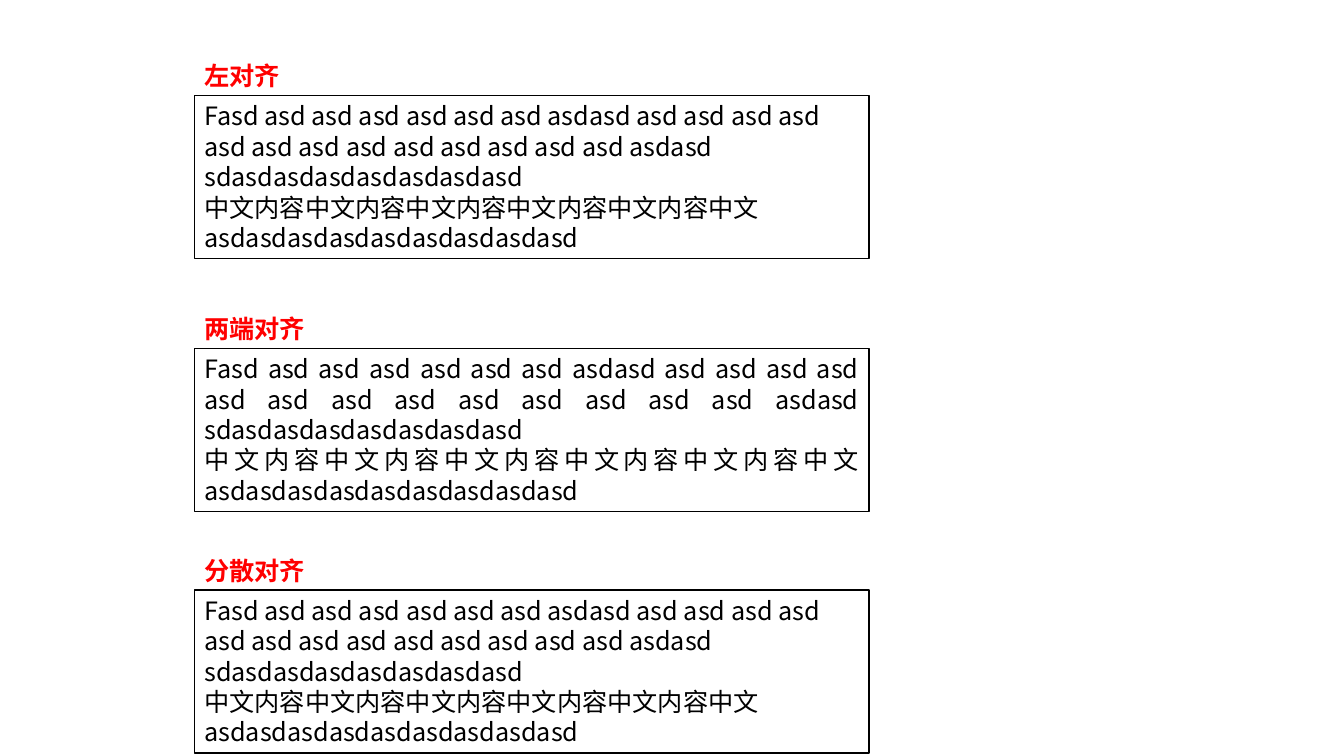
from dataclasses import dataclass

from lxml import etree
from pptx import Presentation
from pptx.dml.color import RGBColor
from pptx.enum.shapes import MSO_SHAPE
from pptx.enum.text import MSO_ANCHOR, MSO_AUTO_SIZE, PP_ALIGN
from pptx.oxml.ns import qn
from pptx.util import Cm, Pt

RECT = MSO_SHAPE.RECTANGLE
TOP = MSO_ANCHOR.TOP
GROW = MSO_AUTO_SIZE.SHAPE_TO_FIT_TEXT
LEFT, JUSTIFY, DISTRIBUTE = PP_ALIGN.LEFT, PP_ALIGN.JUSTIFY, PP_ALIGN.DISTRIBUTE


@dataclass(frozen=True)
class Theme:
    font: str = "Noto Sans CJK SC"
    size: Pt = Pt(18)
    leading: Pt = Pt(21.7)
    border: Pt = Pt(1)
    text: RGBColor = RGBColor(0, 0, 0)
    heading: RGBColor = RGBColor(255, 0, 0)
    panel: RGBColor = RGBColor(255, 255, 255)


THEME = Theme()
LABEL_HEIGHT = 1.01
SAMPLE_HEIGHT = 4.11
SAMPLE_LINES = [
    "Fasd asd asd asd asd asd asd asdasd asd asd asd asd asd asd asd asd asd "
    "asd asd asd asd asdasd sdasdasdasdasdasdasdasd",
    "中文内容中文内容中文内容中文内容中文内容中文asdasdasdasdasdasdasdasdasd",
]
# Heading, alignment, top in cm
SECTIONS = [
    ("左对齐", LEFT, 1.4),
    ("两端对齐", JUSTIFY, 7.77),
    ("分散对齐", DISTRIBUTE, 13.86),
]


def write_text(tf, lines, align, wrap, color, bold):
    frame_format = {"word_wrap": wrap, "auto_size": GROW, "vertical_anchor": TOP}
    for name, value in frame_format.items():
        setattr(tf, name, value)
    for i, line in enumerate(lines):
        p = tf.paragraphs[0] if i == 0 else tf.add_paragraph()
        p.alignment = align
        p.line_spacing = THEME.leading
        r = p.add_run()
        r.text = line
        font_format = {"name": THEME.font, "size": THEME.size, "bold": bold}
        for name, value in font_format.items():
            setattr(r.font, name, value)
        r.font.color.rgb = color
        # Chinese characters take the East Asian typeface
        ea = etree.SubElement(r.font._element, qn("a:ea"))
        ea.set("typeface", THEME.font)


def add_section(slide, left, top, width, heading, align):
    # Red heading, as wide as its characters plus the insets
    label_width = 0.64 * len(heading) + 0.66
    label = slide.shapes.add_textbox(
        Cm(left), Cm(top), Cm(label_width), Cm(LABEL_HEIGHT))
    write_text(label.text_frame, [heading], LEFT, False, THEME.heading, True)

    # Framed sample text
    sp = slide.shapes.add_shape(
        RECT, Cm(left), Cm(top + LABEL_HEIGHT), Cm(width), Cm(SAMPLE_HEIGHT))
    sp.shadow.inherit = False
    sp.fill.solid()
    sp.fill.fore_color.rgb = THEME.panel
    sp.line.color.rgb = THEME.text
    sp.line.width = THEME.border
    write_text(sp.text_frame, SAMPLE_LINES, align, True, THEME.text, False)


def main():
    prs = Presentation()
    prs.slide_width, prs.slide_height = Cm(33.87), Cm(19.05)
    slide = prs.slides.add_slide(prs.slide_layouts[6])
    for heading, align, top in SECTIONS:
        add_section(slide, 4.9, top, 17, heading, align)
    prs.save("out.pptx")


if __name__ == "__main__":
    main()
